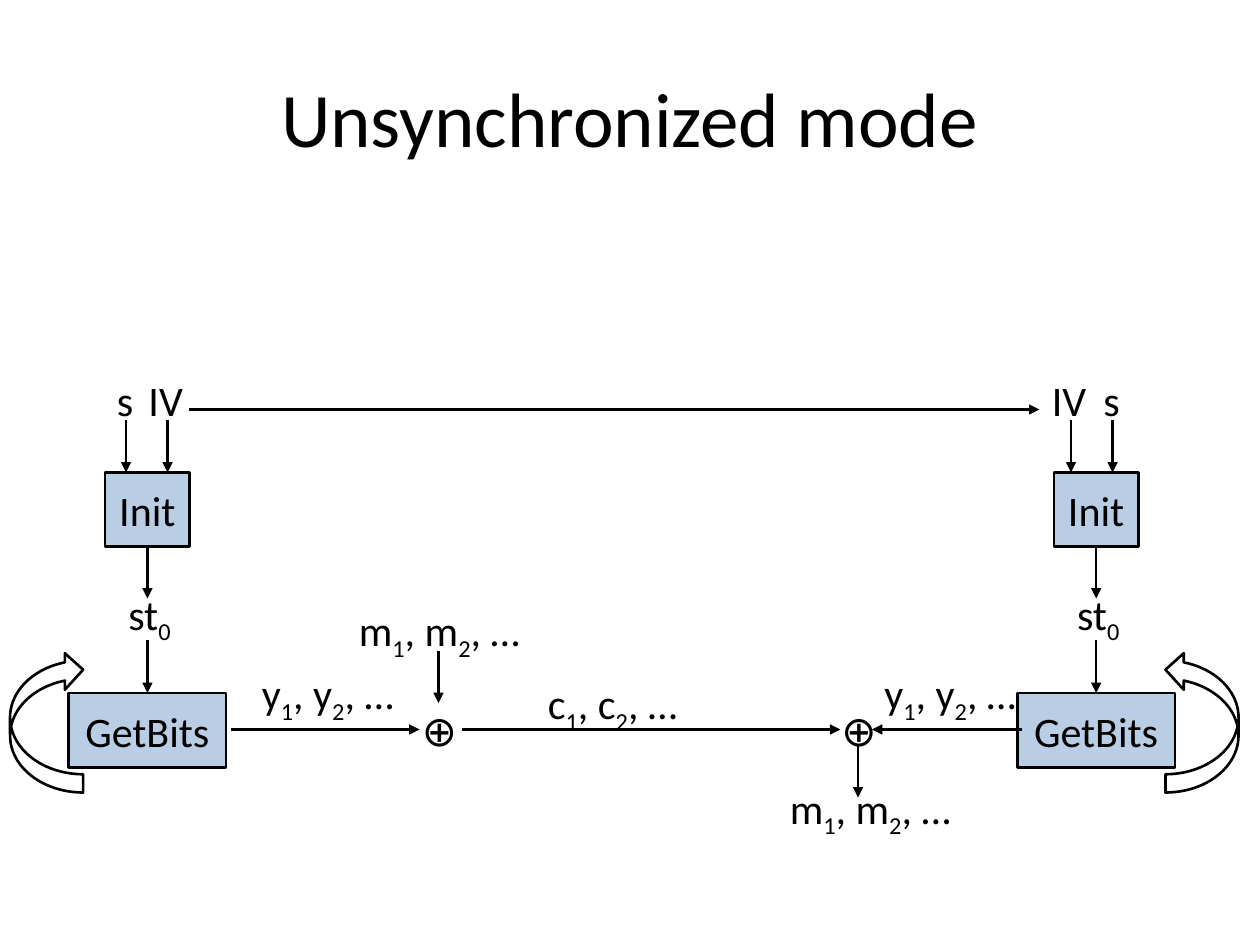
import dataclasses

import lxml.etree
import pptx
import pptx.dml.color
import pptx.enum.shapes
import pptx.enum.text
import pptx.oxml.ns
import pptx.util

Inches = pptx.util.Inches
Shapes = pptx.enum.shapes.MSO_SHAPE
Align = pptx.enum.text.PP_ALIGN
Anchor = pptx.enum.text.MSO_ANCHOR
qn = pptx.oxml.ns.qn

COLORS = {"ink": "000000", "block": "B9CDE5"}
FONT = "Calibri"
LINE_WIDTH = pptx.util.Pt(1.5)
STREAM_Y = 5.79


@dataclasses.dataclass
class Label:
    text: str
    left: float
    top: float
    width: float


@dataclasses.dataclass
class Arrow:
    start: tuple[float, float]
    end: tuple[float, float]


@dataclasses.dataclass
class Party:
    """One end of the channel, built around a vertical axis."""
    axis: float
    seed_x: float
    iv_x: float
    loop_left: float
    loop_flips: tuple[str, ...]


def color(name: str) -> pptx.dml.color.RGBColor:
    return pptx.dml.color.RGBColor.from_string(COLORS[name])


def write(frame, text: str, size: float = 24) -> None:
    """Write one paragraph; the character after each underscore is a subscript."""
    para = frame.paragraphs[0]
    first, *rest = text.split("_")
    pieces = [(first, False)]
    for part in rest:
        pieces += [(part[0], True), (part[1:], False)]
    for piece, lowered in pieces:
        if not piece:
            continue
        span = para.add_run()
        span.text = piece
        span.font.name = FONT
        span.font.size = pptx.util.Pt(size)
        span.font.color.rgb = color("ink")
        if lowered:
            span._r.get_or_add_rPr().set("baseline", "-25000")


def add_title(page, text: str) -> None:
    box = page.shapes.add_textbox(Inches(0.5), Inches(0.3), Inches(9), Inches(1.25))
    frame = box.text_frame
    frame.word_wrap = True
    frame.vertical_anchor = Anchor.MIDDLE
    write(frame, text, 44)
    frame.paragraphs[0].alignment = Align.CENTER


def add_label(page, label: Label) -> None:
    box = page.shapes.add_textbox(
        Inches(label.left), Inches(label.top), Inches(label.width), Inches(0.5))
    box.text_frame.word_wrap = False
    box.text_frame.auto_size = pptx.enum.text.MSO_AUTO_SIZE.SHAPE_TO_FIT_TEXT
    write(box.text_frame, label.text)


def add_outlined(page, kind, left: float, top: float, width: float, height: float):
    shape = page.shapes.add_shape(
        kind, Inches(left), Inches(top), Inches(width), Inches(height))
    shape.shadow.inherit = False
    shape.fill.background()
    shape.line.color.rgb = color("ink")
    shape.line.width = LINE_WIDTH
    return shape


def add_block(page, text: str, axis: float, top: float, width: float) -> None:
    block = add_outlined(page, Shapes.RECTANGLE, axis - width / 2, top, width, 0.59)
    block.fill.solid()
    block.fill.fore_color.rgb = color("block")
    frame = block.text_frame
    frame.word_wrap = False
    frame.vertical_anchor = Anchor.MIDDLE
    write(frame, text)
    frame.paragraphs[0].alignment = Align.CENTER


def add_loop(page, left: float, flips: tuple[str, ...]) -> None:
    loop = add_outlined(page, Shapes.CURVED_RIGHT_ARROW, left, 5.17, 0.58, 1.12)
    for flip in flips:
        loop._element.spPr.find(qn("a:xfrm")).set(flip, "1")


def add_arrow(page, arrow: Arrow) -> None:
    connector = page.shapes.add_connector(
        pptx.enum.shapes.MSO_CONNECTOR.STRAIGHT,
        *(Inches(value) for value in arrow.start + arrow.end))
    connector.line.color.rgb = color("ink")
    connector.line.width = LINE_WIDTH
    lxml.etree.SubElement(connector.line._get_or_add_ln(), qn("a:tailEnd"), type="triangle")
    lxml.etree.SubElement(connector._element.spPr, qn("a:effectLst"))


def add_party(page, party: Party) -> None:
    axis = party.axis
    add_block(page, "Init", axis, 3.75, 0.67)
    add_block(page, "GetBits", axis, 5.5, 1.25)
    for x, top in ((party.seed_x, 3.33), (party.iv_x, 3.33), (axis, 4.33), (axis, 5.08)):
        add_arrow(page, Arrow((x, top), (x, top + 0.42)))
    add_label(page, Label("s", party.seed_x - 0.17, 2.92, 0.33))
    add_label(page, Label("IV", party.iv_x - 0.25, 2.92, 0.48))
    add_label(page, Label("st_0", axis - 0.25, 4.62, 0.56))
    add_loop(page, party.loop_left, party.loop_flips)


PARTIES = [
    Party(1.17, 1, 1.33, 0.08, ("flipV",)),
    Party(8.7, 8.83, 8.5, 9.25, ("flipH", "flipV")),
]
CHANNEL_ARROWS = [
    Arrow((1.5, 3.25), (8.25, 3.25)),
    Arrow((1.83, STREAM_Y), (3.33, STREAM_Y)),
    Arrow((3.67, STREAM_Y), (6.67, STREAM_Y)),
    Arrow((8.11, STREAM_Y), (6.92, STREAM_Y)),
    Arrow((3.48, 5.17), (3.48, 5.58)),
    Arrow((6.81, 5.92), (6.81, 6.33)),
]
CHANNEL_LABELS = [
    Label("y_1, y_2, …", 1.98, 5.25, 1.29),
    Label("⊕", 3.25, 5.54, 0.46),
    Label("m_1, m_2, …", 2.75, 4.75, 1.54),
    Label("c_1, c_2, …", 4.25, 5.33, 1.27),
    Label("⊕", 6.58, 5.54, 0.46),
    Label("m_1, m_2, …", 6.17, 6.16, 1.52),
    Label("y_1, y_2, …", 6.92, 5.25, 1.29),
]


def main() -> None:
    deck = pptx.Presentation()
    deck.slide_width, deck.slide_height = Inches(10), Inches(7.5)
    page = deck.slides.add_slide(deck.slide_layouts[6])
    add_title(page, "Unsynchronized mode")
    for party in PARTIES:
        add_party(page, party)
    for arrow in CHANNEL_ARROWS:
        add_arrow(page, arrow)
    for label in CHANNEL_LABELS:
        add_label(page, label)
    deck.save("out.pptx")


if __name__ == "__main__":
    main()
